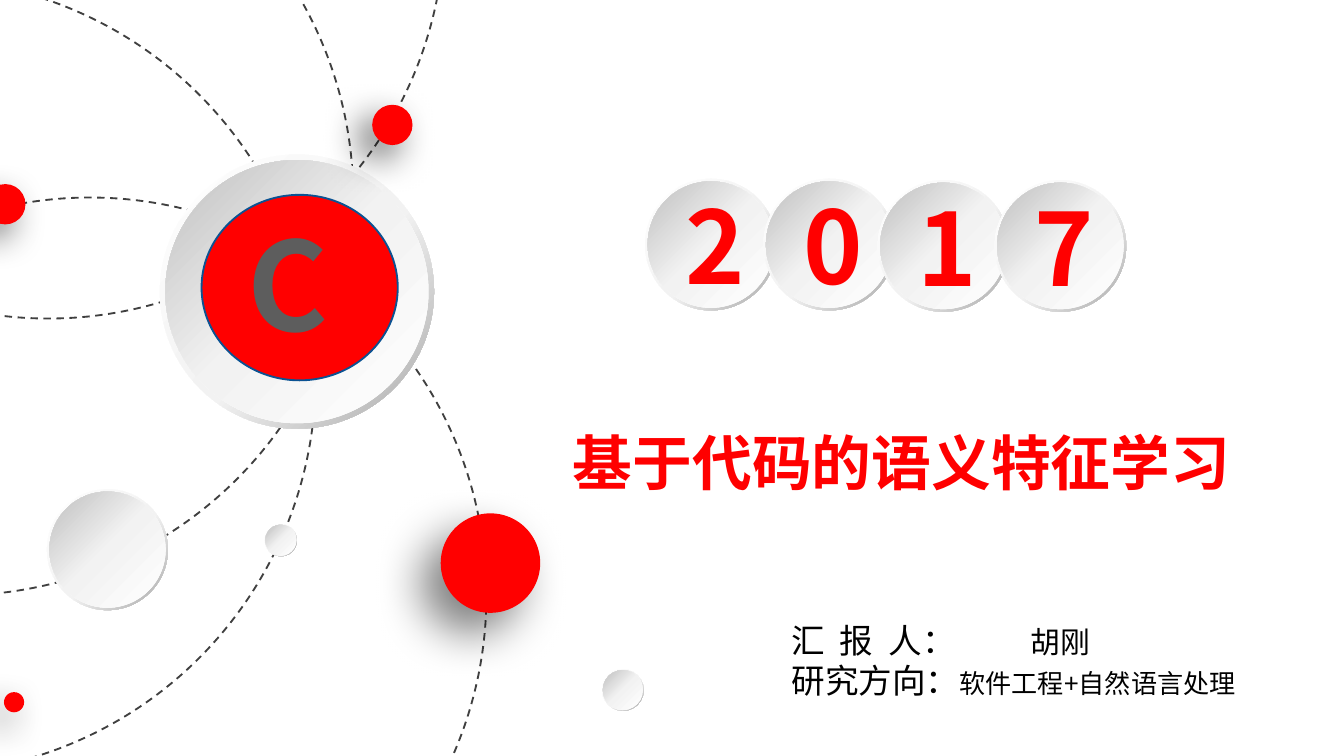
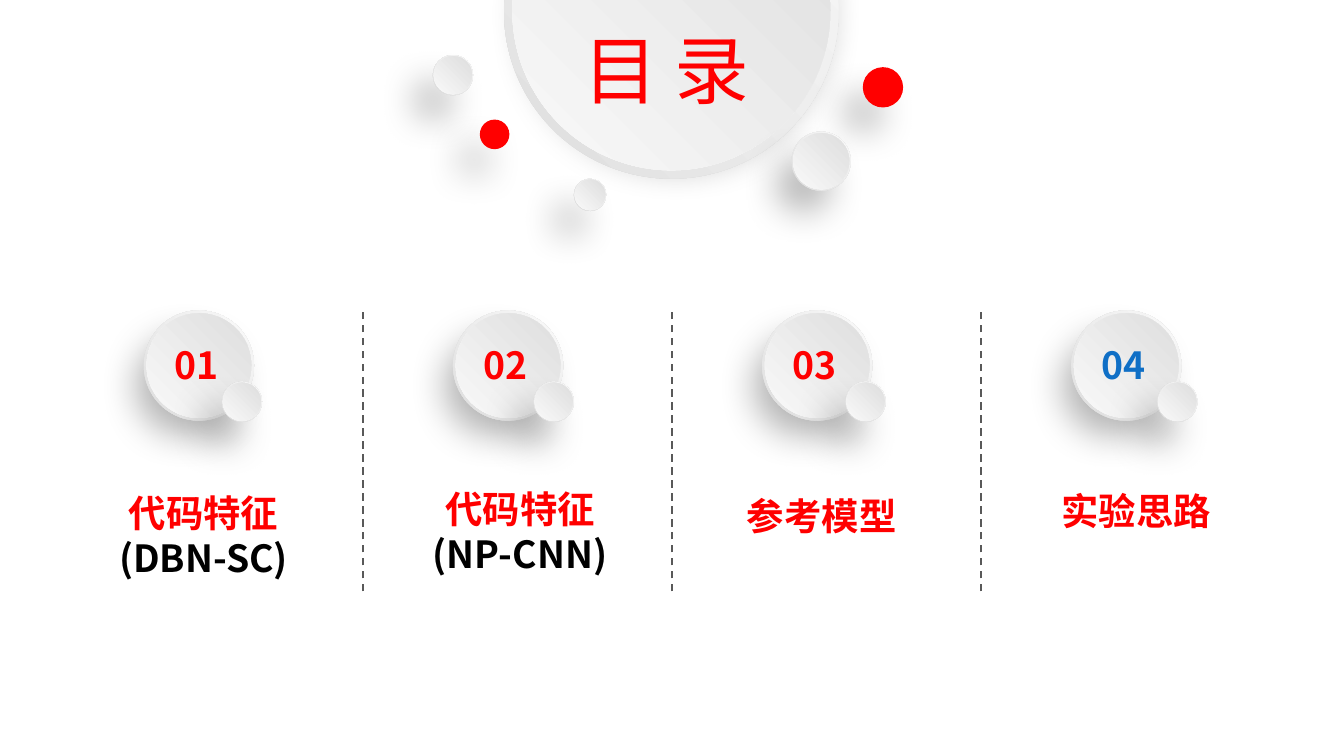
from lxml import etree
from pptx import Presentation
from pptx.dml.color import RGBColor
from pptx.enum.dml import MSO_LINE
from pptx.enum.shapes import MSO_CONNECTOR, MSO_SHAPE
from pptx.enum.text import MSO_ANCHOR, MSO_AUTO_SIZE, PP_ALIGN
from pptx.oxml.ns import qn
from pptx.util import Inches, Pt

OVAL, DONUT = MSO_SHAPE.OVAL, MSO_SHAPE.DONUT
NODE = MSO_SHAPE.FLOWCHART_CONNECTOR
STRAIGHT = MSO_CONNECTOR.STRAIGHT
DASH = MSO_LINE.DASH
LEFT, MID = PP_ALIGN.LEFT, PP_ALIGN.CENTER
TOP = MSO_ANCHOR.TOP
GROW = MSO_AUTO_SIZE.SHAPE_TO_FIT_TEXT

WIDE = 10
HIGH = WIDE * 9 / 16
FONT = "Noto Sans CJK SC"
RED, BLACK, WHITE, BLUE = "FF0000", "000000", "FFFFFF", "0F6FC6"
NAVY, RING, RULE = "0B5292", "404040", "595959"

RIM = [(0, WHITE), (55, "F2F2F2"), (100, "A6A6A6")], 135
FACE = [(0, WHITE), (51, "F2F2F2"), (100, "BFBFBF")], 315
EDGE = [(0, WHITE), (100, "D9D9D9")], None
DOME = [(0, "D9D9D9"), (100, "FEFEFE")], None
INK = [(0, "555555"), (49, "5D5D5D"), (50, BLACK),
       (95, BLACK), (100, BLACK)], 90
DEEP, SOFT = (50, 25, 15, 135, 100), (60, 20, 10, 135, 100)
FAR = (30, 20, 19, 130, 90)
TURN = 29.5

TITLE = "基于代码的语义特征学习"
YEAR = [("2", 4.8, 1.33), ("0", 5.68, 1.33), ("1", 6.53, 1.34), ("7", 7.4, 1.34)]
ABOUT = [
    [("汇 报 ", 18, 2), ("人：", 18, 0), ("\t胡刚", 16, 0)],
    [("研究方向：", 18, 0), ("软件工程+自然语言处理", 14, 0)],
]
RINGS = [(-2.28, 1.47), (-3.27, -1.49), (-3.55, -0.16), (-2.59, -3.55)]
HUB = (1.19, 1.15, 2.04)
BALLS = [(3.28, 3.82, 0.74, DEEP), (2.77, 0.78, 0.3, SOFT),
         (-0.11, 1.37, 0.3, SOFT), (0.03, 5.15, 0.15, SOFT)]
PLATES = [(1.97, 3.9, 0.24), (4.48, 4.98, 0.31), (0.35, 3.64, 0.9)]

AGENDA = "目 录"
PEBBLES = [(3.75, -1.16, 2.49, False), (3.22, 0.41, 0.3, False),
           (6.42, 0.5, 0.3, True), (4.27, 1.33, 0.24, False),
           (5.89, 0.98, 0.44, False), (3.57, 0.89, 0.22, True)]
PARTS = [
    ("01", RED, [[("代码特征", RED), ("(DBN-SC)", BLACK)]],
     (0.76, 3.6, 1.51, 0.77), MID),
    ("02", RED, [[("代码特征", RED)], [("(NP-CNN)", BLACK)]],
     (3.03, 3.57, 1.68, 0.77), MID),
    ("03", RED, [[("参考模型", RED)]], (5.46, 3.62, 1.43, 0.44), LEFT),
    ("04", BLUE, [[("实验思路", RED)]], (7.8, 3.58, 1.33, 0.44), LEFT),
]
PITCH = 2.3


def rgb(code):
    return RGBColor.from_string(code)


def sub(node, tag, **attrs):
    return etree.SubElement(node, qn(tag), {k: str(v) for k, v in attrs.items()})


def blend(node, stops, angle):
    grad = sub(node, "a:gradFill", rotWithShape=1)
    row = sub(grad, "a:gsLst")
    for pos, code in stops:
        sub(sub(row, "a:gs", pos=pos * 1000), "a:srgbClr", val=code)
    if angle is None:
        way = sub(grad, "a:path", path="circle")
        sub(way, "a:fillToRect", l=100000, b=100000)
    else:
        sub(grad, "a:lin", ang=angle * 60000, scaled=0)
    return grad


def shade(shape, look):
    clear, blur, dist, angle, scale = look
    cast = sub(shape.element.spPr.find(qn("a:effectLst")), "a:outerShdw",
               blurRad=Pt(blur), dist=Pt(dist), dir=angle * 60000,
               sx=scale * 1000, sy=scale * 1000, algn="tr", rotWithShape=0)
    sub(sub(cast, "a:srgbClr", val=BLACK), "a:alpha", val=clear * 1000)


def draw(home, kind, box, fill=None, line=None, dash=None,
         cast=None, turn=0, flip=False):
    shape = home.add_shape(kind, *map(Inches, box))
    shape.shadow.inherit = False
    shape.rotation = turn
    props = shape.element.spPr
    if flip:
        props.find(qn("a:xfrm")).set("flipH", "1")
    if isinstance(fill, str):
        shape.fill.solid()
        shape.fill.fore_color.rgb = rgb(fill)
    elif fill:
        props.find(qn("a:prstGeom")).addnext(blend(props, *fill))
    else:
        shape.fill.background()
    if line:
        shape.line.color.rgb = rgb(line)
        shape.line.width = Pt(1)
        if dash:
            shape.line.dash_style = dash
    else:
        shape.line.fill.background()
    if cast:
        shade(shape, cast)
    return shape


def core(x, y, size, share):
    gap = size * (1 - share) / 2
    return x + gap, y + gap, size * share, size * share


def plate(home, x, y, size):
    rim = draw(home, DONUT, (x, y, size, size), RIM, flip=True)
    rim.adjustments[0] = 0.05
    draw(home, OVAL, core(x, y, size, 0.96), FACE, flip=True)


def pebble(home, x, y, size, red=False):
    draw(home, OVAL, (x, y, size, size), RED if red else EDGE,
         cast=FAR, turn=TURN)
    draw(home, OVAL, core(x, y, size, 0.95), RED if red else DOME, turn=TURN)


def place(shape, box):
    shape.left, shape.top, shape.width, shape.height = map(Inches, box)
    frame = shape.text_frame
    frame.word_wrap = True
    frame.auto_size = GROW
    frame.vertical_anchor = TOP
    return frame


def add_run(para, text, size, color, bold=False, space=0):
    run = para.add_run()
    run.text = text
    font = run.font
    font.size, font.bold, font.name = Pt(size), bold, FONT
    props = run._r.get_or_add_rPr()
    sub(props, "a:ea", typeface=FONT)
    if space:
        props.set("spc", str(space * 100))
    if isinstance(color, str):
        font.color.rgb = rgb(color)
    else:
        edge = sub(props, "a:ln", w=Pt(1.4))
        sub(sub(edge, "a:solidFill"), "a:srgbClr", val=WHITE)
        props.insert(0, edge)
        props.insert(1, blend(props, *color))


def label(home, box, text, size, color, bold=True, align=LEFT):
    frame = place(home.add_textbox(0, 0, 0, 0), box)
    para = frame.paragraphs[0]
    para.alignment = align
    add_run(para, text, size, color, bold)


def head(slide, box, text, size, bold, align):
    title = slide.shapes.title
    title.element.getparent().append(title.element)
    para = place(title, box).paragraphs[0]
    para.alignment = align
    add_run(para, text, size, RED, bold)


def group(slide):
    return slide.shapes.add_group_shape().shapes


def lines(frame, rows):
    for i, row in enumerate(rows):
        yield (frame.add_paragraph() if i else frame.paragraphs[0]), row


def cover(slide):
    home = slide.shapes
    for x, y in RINGS:
        draw(home, OVAL, (x, y, 5.9, 5.92), line=RING, dash=DASH, flip=True)
    plate(group(slide), *HUB)
    for x, y, size, cast in BALLS:
        draw(home, OVAL, (x, y, size, size), RED, cast=cast, flip=True)
    for spot in PLATES:
        plate(group(slide), *spot)
    for digit, x, y in YEAR:
        disc = group(slide)
        plate(disc, x, y, 0.98)
        label(disc, (x + 0.2, y - 0.01, 0.63, 1.01), digit, 54, RED)
    head(slide, (3.93, 3.12, 5.56, 0.64), TITLE, 32, True, MID)
    frame = place(home.add_textbox(0, 0, 0, 0), (5.79, 4.56, 3.78, 0.71))
    for para, row in lines(frame, ABOUT):
        if row is ABOUT[0]:
            tabs = sub(para._p.get_or_add_pPr(), "a:tabLst")
            sub(tabs, "a:tab", pos=Inches(1.78), algn="l")
        for text, size, space in row:
            add_run(para, text, size, BLACK, space=space)
    draw(home, NODE, (1.5, 1.45, 1.46, 1.38), RED, NAVY)
    label(home, (1.55, 1.5, 1.19, 1.21), "C", 66, INK, align=MID)


def agenda(slide):
    home = slide.shapes
    for spot in PEBBLES:
        pebble(group(slide), *spot)
    head(slide, (4.24, 0.13, 1.56, 0.77), AGENDA, 40, False, LEFT)
    for i, (number, color, *_) in enumerate(PARTS):
        disc = group(slide)
        pebble(disc, 1.07 + PITCH * i, 2.31, 0.82)
        label(disc, (1.2 + PITCH * i, 2.5, 0.58, 0.44), number, 20, color)
    for i in range(len(PARTS)):
        pebble(group(slide), 1.65 + 2.32 * i, 2.84, 0.3)
    for i in range(len(PARTS) - 1):
        x = Inches(2.7 + PITCH * i)
        rule = home.add_connector(STRAIGHT, x, Inches(4.4), x, Inches(2.29))
        rule.line.color.rgb = rgb(RULE)
        rule.line.width = Pt(1)
        rule.line.dash_style = DASH
        sub(rule.element.spPr, "a:effectLst")
    for _, _, rows, box, align in PARTS:
        frame = place(home.add_textbox(0, 0, 0, 0), box)
        for para, row in lines(frame, rows):
            para.alignment = align
            for text, color in row:
                add_run(para, text, 20, color, True)


def main():
    deck = Presentation()
    deck.slide_width, deck.slide_height = Inches(WIDE), Inches(HIGH)
    for build in (cover, agenda):
        build(deck.slides.add_slide(deck.slide_layouts[5]))
    deck.save("out.pptx")


if __name__ == "__main__":
    main()
